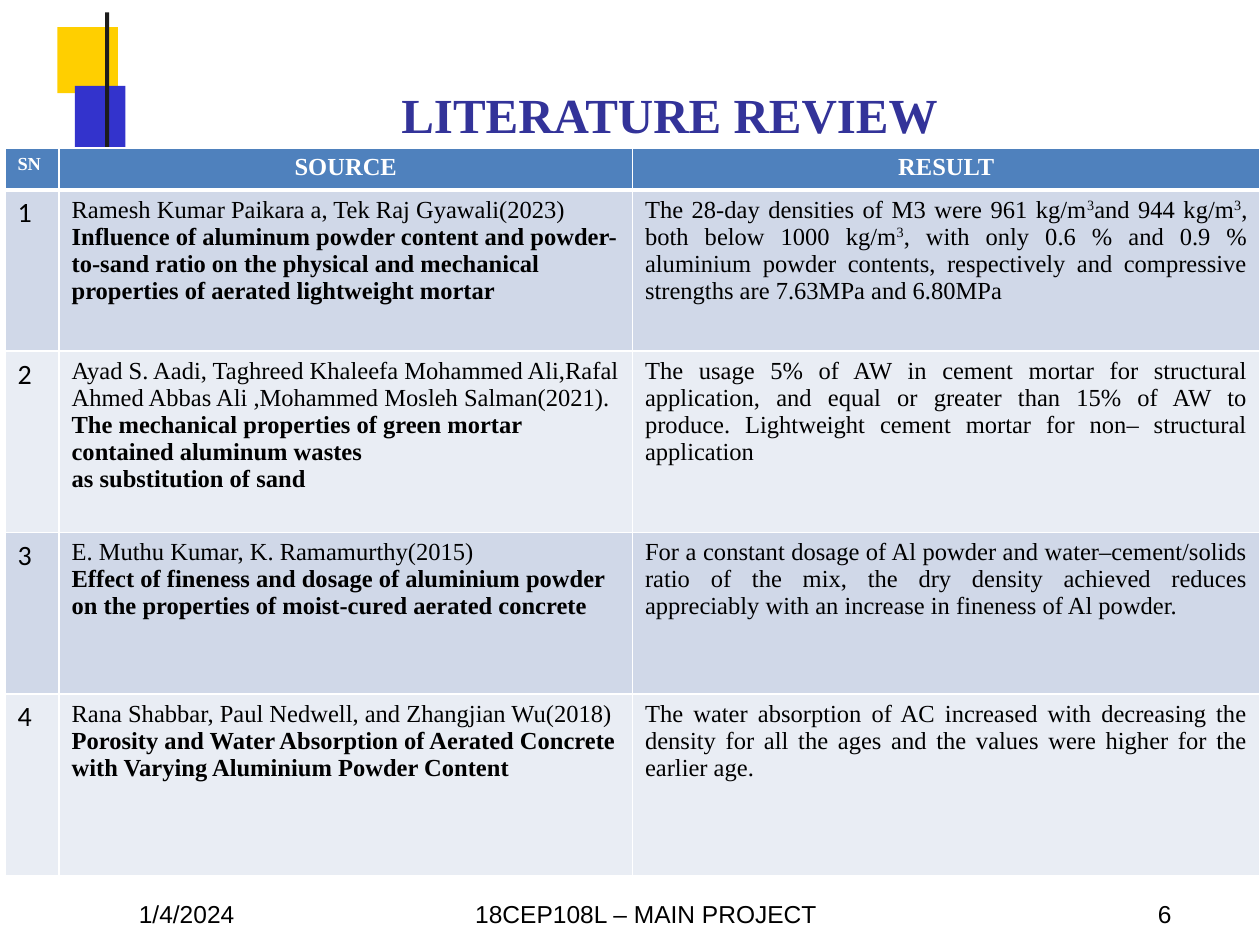
from lxml import etree
from pptx import Presentation
from pptx.dml.color import RGBColor
from pptx.enum import shapes, text
from pptx.oxml import ns
from pptx.util import Cm, Pt

YELLOW = RGBColor(0xFF, 0xCF, 0x00)
BLUE = RGBColor(0x33, 0x33, 0xCC)
CHARCOAL = RGBColor(0x1C, 0x1C, 0x1C)
TITLE_BLUE = RGBColor(0x33, 0x33, 0x99)
HEADER_BLUE = RGBColor(0x4F, 0x81, 0xBD)
BAND_DARK = RGBColor(0xD0, 0xD8, 0xE8)
BAND_LIGHT = RGBColor(0xE9, 0xED, 0xF4)
WHITE = RGBColor(0xFF, 0xFF, 0xFF)
BLACK = RGBColor(0, 0, 0)
SERIF = "Times New Roman"

COLUMN_WIDTHS = (1.09, 11.56, 12.65)
ROW_HEIGHTS = (0.81, 3.25, 3.66, 3.25, 3.66)

# Authors, lines of the paper's title, result (^ switches superscript)
REVIEWS = (
    ("Ramesh Kumar Paikara a, Tek Raj Gyawali(2023)",
     ("Influence of aluminum powder content and powder-to-sand ratio on the "
      "physical and mechanical properties of aerated lightweight mortar",),
     "The 28-day densities of M3 were 961 kg/m^3^and 944 kg/m^3^, both below "
     "1000 kg/m^3^, with only 0.6 % and 0.9 % aluminium powder contents, "
     "respectively and compressive strengths are 7.63MPa and 6.80MPa"),
    ("Ayad S. Aadi, Taghreed Khaleefa Mohammed Ali,Rafal Ahmed Abbas Ali "
     ",Mohammed Mosleh Salman(2021).",
     ("The mechanical properties of green mortar contained aluminum wastes",
      "as substitution of sand"),
     "The usage 5% of AW in cement mortar for structural application, and "
     "equal or greater than 15% of AW to produce. Lightweight cement mortar "
     "for non– structural application"),
    ("E. Muthu Kumar, K. Ramamurthy(2015)",
     ("Effect of fineness and dosage of aluminium powder on the properties of "
      "moist-cured aerated concrete",),
     "For a constant dosage of Al powder and water–cement/solids ratio of the "
     "mix, the dry density achieved reduces appreciably with an increase in "
     "fineness of Al powder."),
    ("Rana Shabbar, Paul Nedwell, and Zhangjian Wu(2018)",
     ("Porosity and Water Absorption of Aerated Concrete with Varying "
      "Aluminium Powder Content",),
     "The water absorption of AC increased with decreasing the density for all "
     "the ages and the values were higher for the earlier age."),
)


def set_font(para, size, name=SERIF, color=BLACK, bold=False):
    font = para.font
    font.size, font.name, font.bold = Pt(size), name, bold
    font.color.rgb = color


def clear_margins(frame):
    frame.margin_left = frame.margin_right = 0
    frame.margin_top = frame.margin_bottom = 0


def add_block(page, left, top, width, height, color):
    block = page.shapes.add_shape(shapes.MSO_SHAPE.RECTANGLE,
                                  Cm(left), Cm(top), Cm(width), Cm(height))
    block.shadow.inherit = False
    block.fill.solid()
    block.fill.fore_color.rgb = color
    block.line.fill.background()


def set_title(page, words):
    title = page.shapes.title
    title.left, title.top = Cm(4.01), Cm(1.7)
    title.width, title.height = Cm(18.97), Cm(1.19)
    frame = title.text_frame
    clear_margins(frame)
    frame.vertical_anchor = text.MSO_ANCHOR.TOP
    para = frame.paragraphs[0]
    para.text = words
    para.alignment = text.PP_ALIGN.CENTER
    set_font(para, 28, color=TITLE_BLUE, bold=True)


def add_footer(page, words, left, width):
    box = page.shapes.add_textbox(Cm(left), Cm(18.14), Cm(width), Cm(0.61))
    frame = box.text_frame
    frame.word_wrap = True
    clear_margins(frame)
    para = frame.paragraphs[0]
    para.text = words
    para.line_spacing = Pt(16.4)
    set_font(para, 14, name="Arial")


def add_spans(para, words):
    for index, part in enumerate(words.split("^")):
        span = para.add_run()
        span.text = part
        if index % 2:
            span.font._element.set("baseline", "30000")


def set_borders(cell, bottom):
    properties = cell._tc.get_or_add_tcPr()
    widths = (("lnL", 1), ("lnR", 1), ("lnT", 1), ("lnB", bottom))
    for index, (tag, width) in enumerate(widths):
        line = etree.Element(ns.qn("a:" + tag), w=str(Pt(width)))
        fill = etree.SubElement(line, ns.qn("a:solidFill"))
        etree.SubElement(fill, ns.qn("a:srgbClr"), val=str(WHITE))
        properties.insert(index, line)


def fill_cell(cell, lines, color, align=None, bottom=1):
    """Write (words, font settings) lines into a coloured cell."""
    cell.fill.solid()
    cell.fill.fore_color.rgb = color
    set_borders(cell, bottom)
    frame = cell.text_frame
    for index, (words, font) in enumerate(lines):
        para = frame.add_paragraph() if index else frame.paragraphs[0]
        add_spans(para, words)
        para.alignment = align
        set_font(para, **font)


def add_review_table(page):
    table = page.shapes.add_table(
        len(ROW_HEIGHTS), len(COLUMN_WIDTHS), Cm(0.1), Cm(2.98),
        Cm(sum(COLUMN_WIDTHS)), Cm(sum(ROW_HEIGHTS))).table
    for column, width in zip(table.columns, COLUMN_WIDTHS):
        column.width = Cm(width)
    for row, height in zip(table.rows, ROW_HEIGHTS):
        row.height = Cm(height)

    # Header row
    center = text.PP_ALIGN.CENTER
    headings = (("SN", 10.5, None), ("SOURCE", 14, center), ("RESULT", 14, center))
    for index, (words, size, align) in enumerate(headings):
        font = dict(size=size, color=WHITE, bold=True)
        fill_cell(table.cell(0, index), [(words, font)], HEADER_BLUE, align, 3)

    # One row for each paper
    plain, strong = dict(size=14), dict(size=14, bold=True)
    for number, (authors, paper, result) in enumerate(REVIEWS, 1):
        band = BAND_DARK if number % 2 else BAND_LIGHT
        source = [(authors, plain)] + [(words, strong) for words in paper]
        fill_cell(table.cell(number, 0),
                  [(str(number), dict(size=16, name="Calibri"))], band)
        fill_cell(table.cell(number, 1), source, band)
        fill_cell(table.cell(number, 2), [(result, plain)], band,
                  text.PP_ALIGN.JUSTIFY)


def main():
    deck = Presentation()
    deck.slide_width, deck.slide_height = Cm(25.4), Cm(19.05)
    page = deck.slides.add_slide(deck.slide_layouts.get_by_name("Title Only"))

    # Corner ornament
    add_block(page, 1.16, 0.55, 1.22, 1.33, YELLOW)
    add_block(page, 1.51, 1.73, 1.02, 1.32, BLUE)
    add_block(page, 2.12, 0.25, 0.08, 2.93, CHARCOAL)

    set_title(page, "LITERATURE REVIEW")

    # Footer line
    add_footer(page, "18CEP108L – MAIN PROJECT", 9.58, 7.6)
    add_footer(page, "1/4/2024", 2.8, 2.5)
    add_footer(page, "6", 23.34, 0.7)

    add_review_table(page)
    deck.save("out.pptx")


if __name__ == "__main__":
    main()
